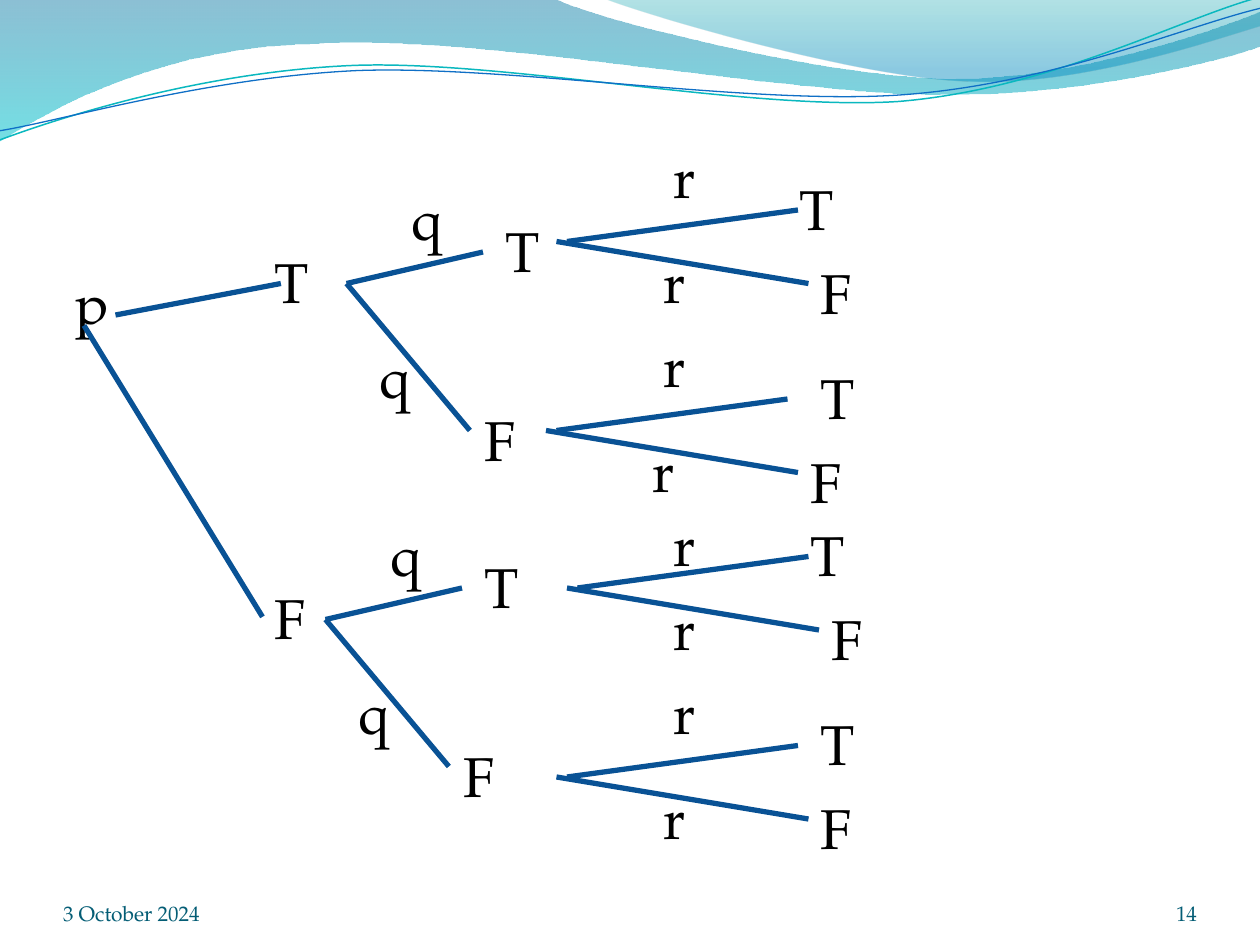
from dataclasses import dataclass, replace

from lxml.etree import SubElement
from pptx import Presentation
from pptx.dml.color import RGBColor
from pptx.enum.shapes import MSO_CONNECTOR
from pptx.enum.text import MSO_ANCHOR, MSO_AUTO_SIZE, PP_ALIGN
from pptx.oxml.ns import qn
from pptx.util import Pt

EMU_PER_PX = 9525  # 96 px to the inch
FONT = "TeX Gyre Pagella"
COLORS = {
    "text": "000000",
    "footer": "045D75",
    "branch": "095295",
    "wave_blue": "0074A1",
    "wave_cyan": "00C6CF",
    "crest_teal": "00A1A9",
    "crest_blue": "008BBF",
    "line_teal": "0AB8BF",
    "line_blue": "0F6FC6",
}
NODE_SIZE = (40, 61)
WAVE_LINE_ROTATION = 357.3

Point = tuple[int, int]


@dataclass(frozen=True)
class Branch:
    """One line of a fork with its labels; all points are relative to the fork."""
    start: Point
    end: Point
    value: str
    value_at: Point
    label: str = ""
    label_at: Point = (0, 0)


@dataclass(frozen=True)
class Fork:
    at: Point
    branches: tuple[Branch, ...]


@dataclass(frozen=True)
class GradientStop:
    position: float
    color: str
    opacity: int


@dataclass(frozen=True)
class Outline:
    """Segments hold one point for a straight line, three for a cubic curve."""
    start: Point
    segments: tuple[tuple[Point, ...], ...]


ROOT = Fork((48, 200), (
    Branch((40, 40), (166, 16), "T", (152, -16)),
    Branch((16, 48), (152, 270), "F", (152, 240)),
))
Q_BRANCHES = (
    Branch((0, 0), (104, -24), "T", (112, -56), "q", (40, -80)),
    Branch((0, 0), (94, 112), "F", (96, 88), "q", (16, 40)),
)
R_TRUE = Branch((8, 0), (184, -24), "T", (176, -56), "r", (80, -80))
R_FALSE = Branch((0, 0), (192, 32), "F", (192, 8), "r", (72, 0))
FORKS = (
    ROOT,
    Fork((264, 216), Q_BRANCHES),
    Fork((248, 472), Q_BRANCHES),
    Fork((424, 184), (R_TRUE, R_FALSE)),
    Fork((416, 328), (replace(R_TRUE, value_at=(200, -56)), R_FALSE)),
    Fork((432, 448), (replace(R_TRUE, label_at=(72, -64)), R_FALSE)),
    Fork((424, 592), (replace(R_TRUE, value_at=(192, -56)), R_FALSE)),
)

WAVE = Outline((0, 0), (
    ((422, -1),),
    ((457, 16), (637, 60), (728, 60)),
    ((819, 60), (920, 25), (960, 9)),
    ((961, 35),),
    ((944, 42), (835, 73), (716, 72)),
    ((597, 72), (367, 27), (247, 33)),
    ((124, 35), (44, 80), (-1, 108)),
))
CREST = Outline((460, -1), (
    ((489, 11), (655, 60), (738, 62)),
    ((822, 66), (923, 31), (960, 20)),
    ((960, 0),),
))
TEAL_LINE = Outline((-2, 84), (
    ((45, 69), (152, 40), (266, 40)),
    ((380, 40), (567, 89), (683, 87)),
    ((799, 83), (901, 34), (960, 21)),
))
BLUE_LINE = Outline((-2, 77), (
    ((44, 72), (157, 44), (272, 44)),
    ((387, 45), (572, 85), (687, 82)),
    ((802, 79), (904, 40), (962, 29)),
))


def px(value: int) -> int:
    return value * EMU_PER_PX


def rgb(name: str) -> RGBColor:
    return RGBColor.from_string(COLORS[name])


def shift(origin: Point, offset: Point) -> Point:
    return origin[0] + offset[0], origin[1] + offset[1]


def add_text(slide, text: str, at: Point, size: Point = NODE_SIZE, *,
             points: float = 32, color: str = "text", align=PP_ALIGN.LEFT,
             anchor=MSO_ANCHOR.TOP, grow: bool = True, inset: bool = True) -> None:
    box = slide.shapes.add_textbox(*map(px, (*at, *size)))
    frame = box.text_frame
    frame.word_wrap = True
    frame.auto_size = MSO_AUTO_SIZE.SHAPE_TO_FIT_TEXT if grow else MSO_AUTO_SIZE.NONE
    frame.vertical_anchor = anchor
    if not inset:
        frame.margin_left = frame.margin_right = 0
        frame.margin_top = frame.margin_bottom = 0
    paragraph = frame.paragraphs[0]
    paragraph.alignment = align
    run = paragraph.add_run()
    run.text = text
    run.font.name = FONT
    run.font.size = Pt(points)
    run.font.color.rgb = rgb(color)


def add_branch_line(slide, start: Point, end: Point) -> None:
    line = slide.shapes.add_connector(MSO_CONNECTOR.STRAIGHT, *map(px, (*start, *end)))
    line.line.color.rgb = rgb("branch")
    line.line.width = Pt(3)
    SubElement(line.element.spPr, qn("a:effectLst"))


def draw_fork(slide, fork: Fork) -> None:
    for branch in fork.branches:
        add_branch_line(slide, shift(fork.at, branch.start), shift(fork.at, branch.end))
        add_text(slide, branch.value, shift(fork.at, branch.value_at))
        if branch.label:
            add_text(slide, branch.label, shift(fork.at, branch.label_at))


def add_outline(slide, outline: Outline, close: bool):
    """Build through every point, then merge each three-point segment into a curve."""
    builder = slide.shapes.build_freeform(*map(px, outline.start))
    points = [point for segment in outline.segments for point in segment]
    builder.add_line_segments([(px(x), px(y)) for x, y in points], close=close)
    shape = builder.convert_to_shape()
    shape.shadow.inherit = False

    lines = iter(list(shape.element.iter(qn("a:lnTo"))))
    for segment in outline.segments:
        parts = [next(lines) for _ in segment]
        if len(parts) == 3:
            curve = SubElement(parts[0].getparent(), qn("a:cubicBezTo"))
            parts[0].addprevious(curve)
            for part in parts:
                curve.append(part[0])
                part.getparent().remove(part)
    return shape


def add_gradient_wave(slide, outline: Outline, *stops: GradientStop) -> None:
    shape = add_outline(slide, outline, close=True)
    shape.line.fill.background()
    shape.fill.gradient()
    shape.fill.gradient_angle = 270
    for target, stop in zip(shape.fill.gradient_stops, stops):
        target.position = stop.position
        target.color.rgb = rgb(stop.color)
    for element, stop in zip(shape.element.spPr.iter(qn("a:srgbClr")), stops):
        SubElement(element, qn("a:alpha"), val=str(stop.opacity * 1000))


def add_wave_line(slide, outline: Outline, color: str, width: float) -> None:
    shape = add_outline(slide, outline, close=False)
    shape.rotation = WAVE_LINE_ROTATION
    shape.fill.background()
    shape.line.color.rgb = rgb(color)
    shape.line.width = Pt(width)


def main() -> None:
    presentation = Presentation()
    presentation.slide_width, presentation.slide_height = px(960), px(720)
    slide = presentation.slides.add_slide(presentation.slide_layouts[6])

    add_gradient_wave(slide, WAVE, GradientStop(0, "wave_blue", 45), GradientStop(1, "wave_cyan", 55))
    add_gradient_wave(slide, CREST, GradientStop(0, "crest_teal", 30), GradientStop(0.8, "crest_blue", 45))
    add_wave_line(slide, TEAL_LINE, "line_teal", 0.85)
    add_wave_line(slide, BLUE_LINE, "line_blue", 0.75)

    footer = dict(points=12, color="footer", anchor=MSO_ANCHOR.BOTTOM, grow=False, inset=False)
    add_text(slide, "3 October 2024", (48, 667), (224, 38), **footer)
    add_text(slide, "14", (832, 667), (80, 38), align=PP_ALIGN.RIGHT, **footer)

    add_text(slide, "p", ROOT.at)
    for fork in FORKS:
        draw_fork(slide, fork)
    presentation.save("out.pptx")


if __name__ == "__main__":
    main()
